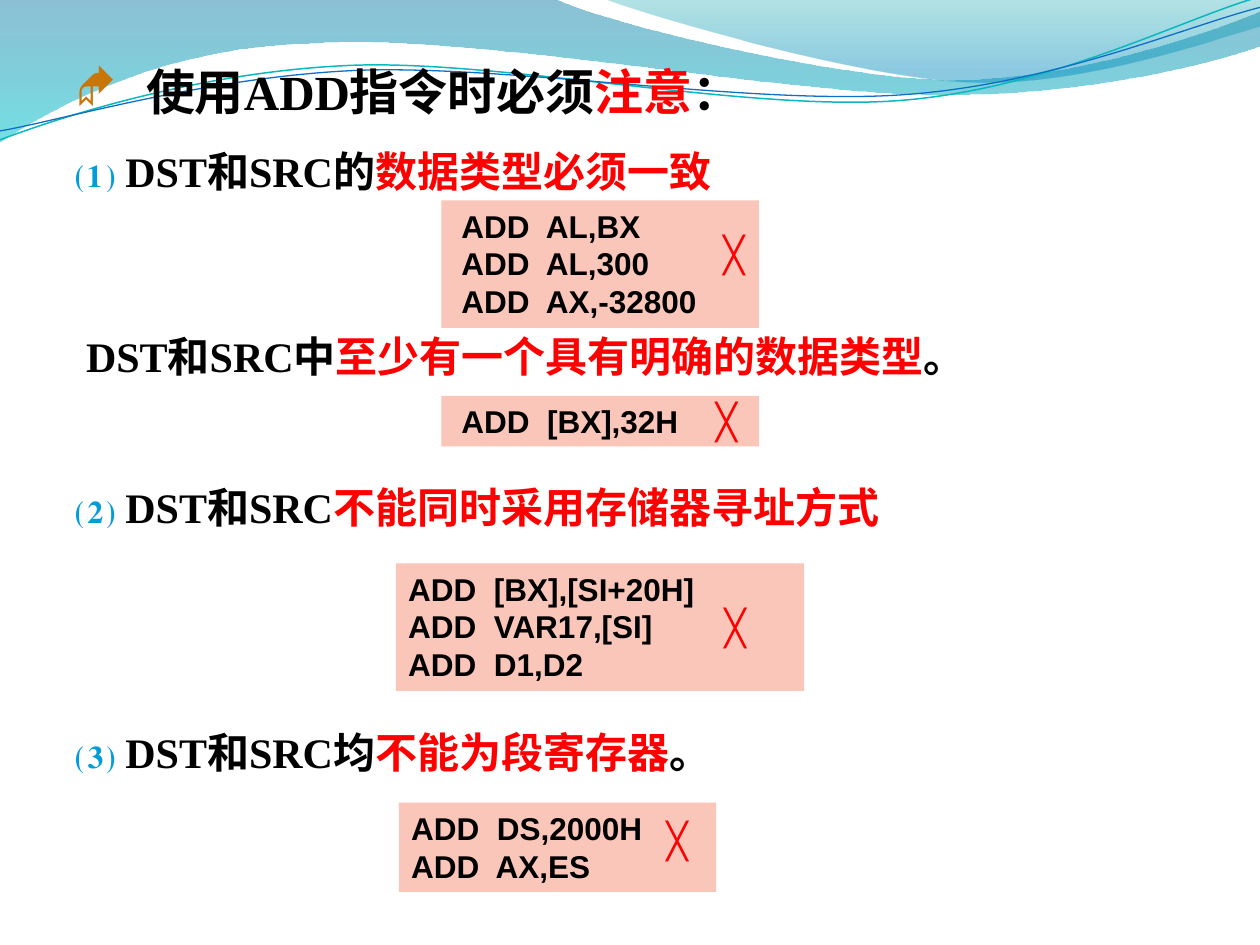
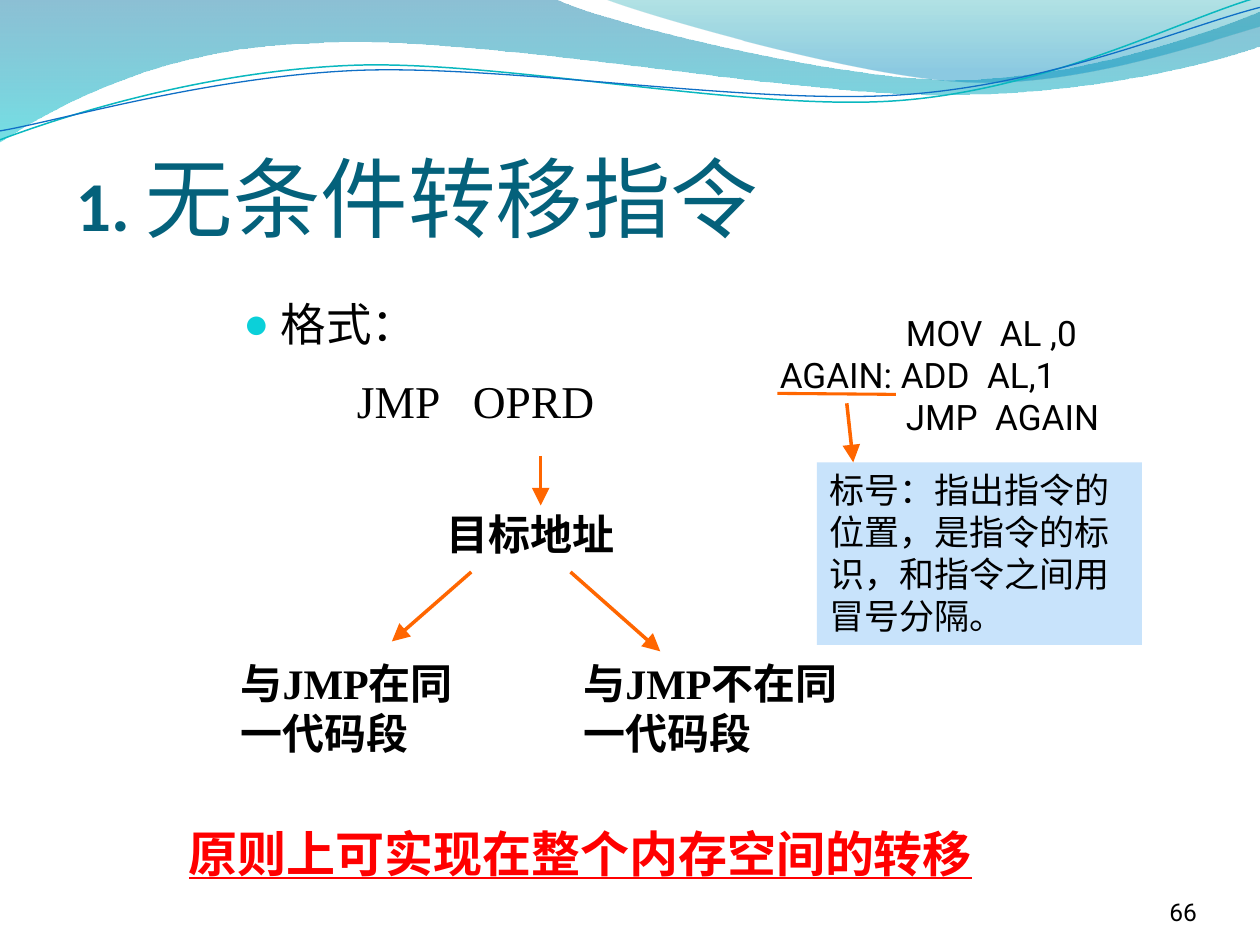
"""Build two slides on the ADD rules and the unconditional jump instruction."""
import dataclasses

import lxml.etree
import pptx
import pptx.dml.color
import pptx.enum.shapes
import pptx.enum.text
import pptx.oxml.ns
import pptx.util

Cm = pptx.util.Cm
Pt = pptx.util.Pt
qn = pptx.oxml.ns.qn
RGB = pptx.dml.color.RGBColor.from_string
ALIGN = pptx.enum.text.PP_ALIGN
ANCHOR = pptx.enum.text.MSO_ANCHOR
FIT = pptx.enum.text.MSO_AUTO_SIZE
SHAPE = pptx.enum.shapes.MSO_SHAPE


@dataclasses.dataclass(frozen=True)
class Theme:
    black: str = "000000"
    red: str = "FF0000"
    number: str = "009DD9"
    title: str = "04617B"
    diamond: str = "C87608"
    dot: str = "0BD0D9"
    code_fill: str = "FAC6BA"
    note_fill: str = "C8E3FB"
    arrow: str = "FF6600"
    serif: str = "Times New Roman"
    book: str = "TeX Gyre Pagella"
    code: str = "Arial"
    sans: str = "Roboto"
    heading: str = "Calibri"
    title_size: int = 50
    title_number_size: int = 40
    large: int = 28
    format_size: int = 26
    body: int = 24
    medium: int = 20
    code_size: int = 18
    small: int = 14


theme = Theme()


def write(text_frame, paragraphs, base, **frame_values):
    """Fill a text frame with (layout, runs) pairs; each run is (text, font overrides)."""
    frame_format = {"word_wrap": True, "auto_size": FIT.NONE, "vertical_anchor": ANCHOR.TOP}
    for name, value in (frame_format | frame_values).items():
        setattr(text_frame, name, value)
    for index, (layout, runs) in enumerate(paragraphs):
        paragraph = text_frame.paragraphs[0] if index == 0 else text_frame.add_paragraph()
        properties = paragraph._p.get_or_add_pPr()
        properties.set("marL", str(Cm(layout.get("margin", 0))))
        properties.set("indent", str(Cm(layout.get("indent", 0))))
        if "bullet" in layout:
            character, color, font = layout["bullet"]
            bullet_color = lxml.etree.SubElement(properties, qn("a:buClr"))
            lxml.etree.SubElement(bullet_color, qn("a:srgbClr"), val=color)
            lxml.etree.SubElement(properties, qn("a:buSzPct"), val="95000")
            lxml.etree.SubElement(properties, qn("a:buFont"), typeface=font)
            lxml.etree.SubElement(properties, qn("a:buChar"), char=character)
        else:
            lxml.etree.SubElement(properties, qn("a:buNone"))
        paragraph.space_before = Pt(layout.get("before", 0))
        paragraph.space_after = Pt(layout.get("after", 0))
        paragraph.alignment = layout.get("alignment", ALIGN.LEFT)
        for text, overrides in runs:
            run = paragraph.add_run()
            run.text = text
            values = {"color": theme.black, "bold": False} | base | overrides
            run.font.color.rgb = RGB(values.pop("color"))
            values["size"] = Pt(values["size"])
            has_serifs = values["name"] in (theme.serif, theme.book)
            east_asian = values.pop("east_asian", theme.code if has_serifs else values["name"])
            for name, value in values.items():
                setattr(run.font, name, value)
            lxml.etree.SubElement(run._r.get_or_add_rPr(), qn("a:ea"), typeface=east_asian)


def place(shape, left, top, width, height):
    """Move and size a shape in centimetres."""
    bounds = {"left": left, "top": top, "width": width, "height": height}
    for name, value in bounds.items():
        setattr(shape, name, Cm(value))
    return shape


presentation = pptx.Presentation()
presentation.slide_width = Cm(25.4)
presentation.slide_height = Cm(19.05)
layout = presentation.slide_layouts[1]
rules_slide = presentation.slides.add_slide(layout)
jump_slide = presentation.slides.add_slide(layout)

waves = [
    {"stops": [("0074A1", 0, 45), ("00C6CF", 1, 55)],
     "outline": [(0, 0), (11.18, -0.03), (12.09, 0.43, 16.87, 1.6, 19.25, 1.6),
                 (21.67, 1.6, 24.33, 0.66, 25.4, 0.23), (25.43, 0.91),
                 (24.97, 1.12, 22.1, 1.93, 18.95, 1.91), (15.8, 1.91, 9.7, 0.71, 6.53, 0.86),
                 (3.28, 0.91, 1.17, 2.11, -0.03, 2.87)]},
    {"stops": [("00A1A9", 0, 30), ("008BBF", 0.8, 45)],
     "outline": [(12.17, -0.03), (12.93, 0.28, 17.32, 1.57, 19.53, 1.65),
                 (21.74, 1.75, 24.41, 0.81, 25.4, 0.53), (25.4, 0)]},
    {"line": ("0AB8BF", 0.85),
     "outline": [(0, 2.82), (1.22, 2.36, 4.01, 1.45, 7.04, 1.32),
                 (10.03, 1.19, 15.06, 2.26, 18.11, 2.03), (21.16, 1.8, 23.83, 0.38, 25.35, -0.05)]},
    {"line": ("0F6FC6", 0.75),
     "outline": [(0, 2.64), (1.19, 2.44, 4.17, 1.55, 7.19, 1.42),
                 (10.24, 1.3, 15.16, 2.13, 18.21, 1.91), (21.23, 1.7, 23.9, 0.53, 25.4, 0.15)]},
]
for index, wave in enumerate(waves):
    start, *segments = wave["outline"]
    points = [(Cm(x), Cm(y)) for segment in segments for x, y in zip(segment[::2], segment[1::2])]
    builder = rules_slide.shapes.build_freeform(Cm(start[0]), Cm(start[1]))
    builder.add_line_segments(points, close="stops" in wave)
    shape = builder.convert_to_shape()
    shape.shadow.inherit = False
    line_steps = iter(list(shape.element.iter(qn("a:lnTo"))))
    for segment in segments:
        step = next(line_steps)
        if len(segment) == 6:
            curve = lxml.etree.Element(qn("a:cubicBezTo"))
            step.addprevious(curve)
            for control in (step, next(line_steps), next(line_steps)):
                curve.append(control[0])
                control.getparent().remove(control)
    if "stops" in wave:
        shape.line.fill.background()
        shape.fill.gradient()
        shape.fill.gradient_angle = 270
        for stop, (color, position, opacity) in zip(shape.fill.gradient_stops, wave["stops"]):
            stop.color.rgb = RGB(color)
            stop.position = position
        for color, (_, _, opacity) in zip(shape.element.iter(qn("a:srgbClr")), wave["stops"]):
            lxml.etree.SubElement(color, qn("a:alpha"), val=str(opacity * 1000))
    else:
        color, width = wave["line"]
        shape.fill.background()
        shape.line.color.rgb = RGB(color)
        shape.line.width = Pt(width)
    shape.element.nvSpPr.cNvPr.set("id", str(20 + index))
    presentation.slide_master.element.cSld.spTree.append(shape.element)

red = {"color": theme.red}
book = {"name": theme.book}
number = {"color": theme.number, "name": theme.book, "east_asian": theme.book}
serif_bold = {"name": theme.serif, "size": theme.body, "bold": True}
large = {"size": theme.large}

unused_title = rules_slide.shapes.title.element
unused_title.getparent().remove(unused_title)
rules = place(rules_slide.placeholders[1], 1.27, 1.12, 19.02, 16.79)
write(rules.text_frame, [
    ({"margin": 1.42, "indent": -1.42, "bullet": ("◆", theme.diamond, "Wingdings")},
     [("使用ADD指令时必须", large), ("注意", large | red), ("：", large)]),
    ({"before": 14}, [("⑴ ", number), ("DST和SRC", {}), ("的", book), ("数据类型必须一致", book | red)]),
    ({"before": 77, "margin": 0.21},
     [("DST和SRC", {}), ("中", book), ("至少有一个具有明确的数据类型", book | red), ("。", book)]),
    ({"before": 57.5}, [("⑵ ", number), ("DST和SRC", {}), ("不能同时采用存储器寻址方式", red)]),
    ({"before": 111}, [("⑶ ", number | {"name": theme.serif, "east_asian": theme.serif}),
                       ("DST和SRC均", {}), ("不能为段寄存器", red), ("。", {})]),
], serif_bold)

wrong_examples = [
    ((8.9, 4.04, 6.4, 2.57), (14.3, 4.57), [" ADD  AL,BX", " ADD  AL,300", " ADD  AX,-32800"]),
    ((8.9, 7.98, 6.4, 1.02), (14.15, 7.92), [" ADD  [BX],32H"]),
    ((7.98, 11.36, 8.23, 2.57), (14.33, 12.09), ["ADD  [BX],[SI+20H]", "ADD  VAR17,[SI]", "ADD  D1,D2"]),
    ((8.04, 16.18, 6.4, 1.8), (13.16, 16.38), ["ADD  DS,2000H", "ADD  AX,ES"]),
]
for bounds, cross_corner, code_lines in wrong_examples:
    code_box = rules_slide.shapes.add_shape(SHAPE.RECTANGLE, *map(Cm, bounds))
    code_box.shadow.inherit = False
    code_box.fill.solid()
    code_box.fill.fore_color.rgb = RGB(theme.code_fill)
    code_box.line.fill.background()
    write(code_box.text_frame, [({}, [(line, {})]) for line in code_lines],
          {"name": theme.code, "size": theme.code_size, "bold": True}, auto_size=FIT.SHAPE_TO_FIT_TEXT)
    cross = rules_slide.shapes.add_textbox(*map(Cm, (*cross_corner, 0.99, 1.12)))
    write(cross.text_frame, [({"alignment": ALIGN.CENTER}, [("╳", number | red)])],
          {"size": theme.medium, "bold": True})
    run_properties = cross.text_frame.paragraphs[0].runs[0]._r.get_or_add_rPr()
    outline = lxml.etree.Element(qn("a:ln"), w=str(Pt(1)))
    outline_fill = lxml.etree.SubElement(outline, qn("a:solidFill"))
    lxml.etree.SubElement(outline_fill, qn("a:srgbClr"), val=theme.red)
    run_properties.insert(0, outline)

title = place(jump_slide.shapes.title, 1.27, 1.96, 22.86, 3.18)
write(title.text_frame,
      [({}, [("1. ", {"size": theme.title_number_size, "bold": True}), ("无条件转移指令", {})])],
      {"name": theme.heading, "size": theme.title_size, "color": theme.title},
      vertical_anchor=ANCHOR.BOTTOM)
syntax = place(jump_slide.placeholders[1], 4.65, 5.84, 14.45, 4.09)
write(syntax.text_frame, [
    ({"margin": 0.76, "indent": -0.76, "bullet": ("●", theme.dot, theme.code)}, [("格式：", book)]),
    ({"margin": 2.29, "before": 13, "after": 2.6}, [("JMP   OPRD", {})]),
], {"name": theme.serif, "size": theme.format_size})

sans = {"name": theme.sans, "size": theme.medium}
labels = [
    ((8.76, 10.13, 4.65, 1.27), [({}, "目标地址")], serif_bold),
    ((4.6, 13.13, 5.51, 2.29), [({}, "与JMP在同一代码段")], serif_bold),
    ((11.51, 13.13, 5.92, 2.29), [({}, "与JMP不在同一代码段")], serif_bold),
    ((3.56, 16.48, 16.94, 1.45), [({}, "原则上可实现在整个内存空间的转移")],
     serif_bold | red | large | {"underline": True}),
    ((15.47, 6.15, 9.12, 2.82),
     [({"margin": 2.54}, "MOV  AL ,0"), ({}, "AGAIN: ADD  AL,1"), ({"margin": 2.54}, "JMP  AGAIN")], sans),
]
for bounds, lines, font in labels:
    label = jump_slide.shapes.add_textbox(*map(Cm, bounds))
    write(label.text_frame, [(line_layout, [(text, {})]) for line_layout, text in lines], font)

note = jump_slide.shapes.add_shape(SHAPE.RECTANGLE, *map(Cm, (16.47, 9.32, 6.55, 3.68)))
note.shadow.inherit = False
note.fill.solid()
note.fill.fore_color.rgb = RGB(theme.note_fill)
note.line.fill.background()
write(note.text_frame, [({}, [("标号：指出指令的位置，是指令的标识，和指令之间用冒号分隔。", {})])], sans)

page_number = jump_slide.shapes.add_textbox(*map(Cm, (22.02, 17.65, 2.11, 1.02)))
write(page_number.text_frame, [({"alignment": ALIGN.RIGHT}, [("66", {"size": theme.small})])], sans,
      vertical_anchor=ANCHOR.BOTTOM, margin_left=0, margin_top=0, margin_right=0, margin_bottom=0)

arrows = [
    ((9.5, 11.53, 7.9, 12.93), 2, True),
    ((11.5, 11.53, 13.31, 13.13), 2, True),
    ((10.9, 9.19, 10.9, 10.19), 2, True),
    ((15.67, 7.93, 18.06, 7.95), 1.75, False),
    ((17.07, 8.13, 17.2, 9.32), 2, True),
]
for ends, width, has_head in arrows:
    connector = jump_slide.shapes.add_connector(
        pptx.enum.shapes.MSO_CONNECTOR.STRAIGHT, *map(Cm, ends))
    connector.line.color.rgb = RGB(theme.arrow)
    connector.line.width = Pt(width)
    shape_properties = connector.element.spPr
    if has_head:
        lxml.etree.SubElement(shape_properties.find(qn("a:ln")), qn("a:tailEnd"),
                              type="triangle", w="lg", len="lg")
    lxml.etree.SubElement(shape_properties, qn("a:effectLst"))

presentation.save("out.pptx")
